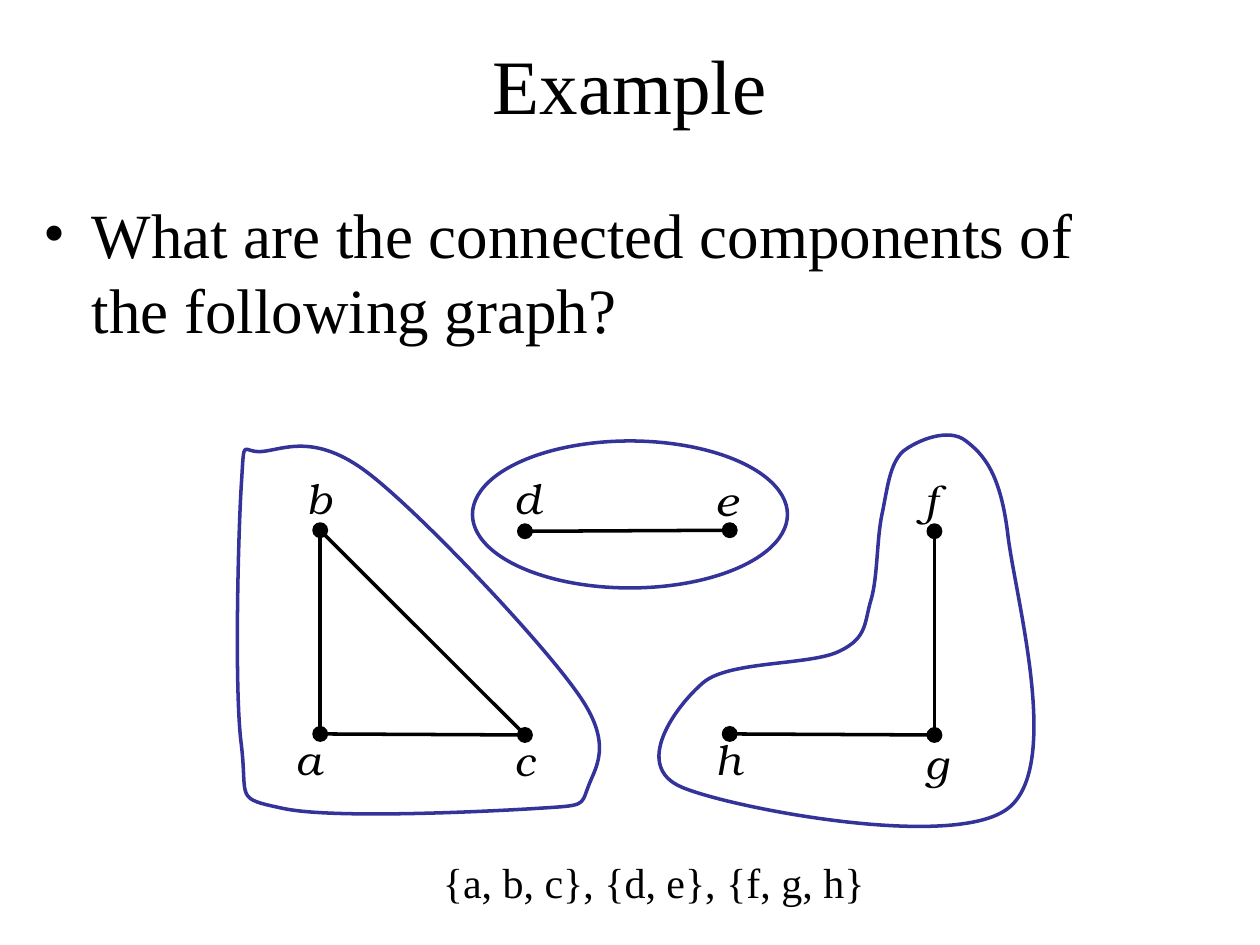
from dataclasses import dataclass

from lxml.etree import SubElement
from pptx import Presentation
from pptx.dml.color import RGBColor as Rgb
from pptx.enum.shapes import MSO_CONNECTOR as Link, MSO_SHAPE as Preset
from pptx.enum.text import MSO_ANCHOR as Anchor, PP_ALIGN as Align
from pptx.oxml.ns import qn
from pptx.util import Inches, Pt


@dataclass(frozen=True)
class Theme:
    ink: Rgb = Rgb(0x00, 0x00, 0x00)
    outline: Rgb = Rgb(0x33, 0x33, 0x99)
    serif: str = "Times New Roman"
    math: str = "TeX Gyre Bonum"
    title: int = 44
    body: int = 36
    small: int = 24
    stroke: int = 2
    hairline: int = 1


COLUMNS, ROWS = 120, 90
LEFT, TOP, STEP, RISE, DROP, DOT = 30.5, 50.5, 19.5, 19.4, 0.1, 1.35

NODES = {
    "a": (0, 1, 28.1, 69.9), "b": (0, 0, 29.2, 45), "c": (1, 1, 49, 70),
    "d": (1, 0, 49, 45), "e": (2, 0, 68.1, 45.2), "f": (3, 0, 88, 45.2),
    "g": (3, 1, 88.1, 70.2), "h": (2, 1, 68.1, 69.9),
}
EDGES = ("ab", "ac", "bc", "de", "fg", "gh")

ABC_REGION = (23, 46), [
    ((22.7, 50.6), (22.3, 65.9), (23, 71)),
    ((23.6, 76.2), (22.3, 76), (27, 77)),
    ((31.7, 78), (46.2, 77.3), (51, 77)),
    ((55.8, 76.7), (55.3, 76.8), (56, 75)),
    ((56.6, 73.2), (58.6, 71), (55, 66)),
    ((51.5, 61), (40, 48.8), (35, 45)),
    ((30, 41.2), (27, 42.8), (25, 43)),
    ((23, 43.2), (23.3, 41.3), (23, 46)),
]
FGH_REGION = (80, 62), [
    ((82.7, 60.7), (82.3, 59.2), (83, 57)),
    ((83.6, 54.8), (83.5, 51.4), (84, 49)),
    ((84.5, 46.7), (84.7, 44.2), (86, 43)),
    ((87.4, 41.9), (90.4, 40.7), (92, 42)),
    ((93.7, 43.3), (95.3, 45.1), (96, 51)),
    ((96.7, 56.9), (101.2, 73), (96, 77)),
    ((90.8, 81), (69.8, 77), (65, 75)),
    ((60.1, 73), (64.4, 67.2), (67, 65)),
    ((69.5, 62.9), (77.3, 63.4), (80, 62)),
]


def assign(target, values):
    for name, value in values.items():
        setattr(target, name, value)


def bend(outline):
    lines = iter(list(outline._element.iter(qn("a:lnTo"))))
    for triple in zip(lines, lines, lines):
        trace = triple[0].getparent()
        curve = trace.makeelement(qn("a:cubicBezTo"))
        triple[0].addprevious(curve)
        for line in triple:
            curve.append(line[0])
            trace.remove(line)


class GraphSlide:
    """Draws the parts of a graph on one slide, placed by grid columns and rows."""

    def __init__(self, deck, theme):
        self.theme = theme
        self.column = deck.slide_width / COLUMNS
        self.row = deck.slide_height / ROWS
        self.shapes = deck.slides.add_slide(deck.slide_layouts[6]).shapes

    def place(self, x, y):
        return round(x * self.column), round(y * self.row)

    def text(self, words, box, size, inset=(0.1, 0.05), anchor=Anchor.TOP,
             align=Align.LEFT, indent=0, bullet=None, font=None, italic=False):
        frame = self.shapes.add_textbox(*self.place(*box[:2]), *self.place(*box[2:])).text_frame
        across, down = map(Inches, inset)
        assign(frame, {"word_wrap": True, "vertical_anchor": anchor,
                       "margin_left": across, "margin_right": across,
                       "margin_top": down, "margin_bottom": down})
        paragraph = frame.paragraphs[0]
        layout = paragraph._p.get_or_add_pPr()
        layout.set("marL", str(Inches(indent)))
        if bullet:
            layout.set("indent", str(-Inches(indent)))
            SubElement(layout, qn("a:buFont")).set("typeface", self.theme.serif)
            SubElement(layout, qn("a:buChar")).set("char", bullet)
        assign(paragraph, {"alignment": align, "space_before": Pt(0)})
        run = paragraph.add_run()
        run.text = words
        assign(run.font, {"name": font or self.theme.serif, "size": Pt(size), "italic": italic})
        run.font.color.rgb = self.theme.ink

    def finish(self, shape, color, width, filled=False):
        shape.shadow.inherit = False
        if filled:
            shape.fill.solid()
            shape.fill.fore_color.rgb = color
        else:
            shape.fill.background()
        shape.line.color.rgb = color
        shape.line.width = Pt(width)

    def region(self, start, curves):
        pen = self.shapes.build_freeform(*self.place(*start))
        pen.add_line_segments([self.place(*point) for curve in curves for point in curve])
        outline = pen.convert_to_shape()
        bend(outline)
        self.finish(outline, self.theme.outline, self.theme.stroke)

    def oval(self, x, y, width, height):
        ring = self.shapes.add_shape(Preset.OVAL, *self.place(x, y), *self.place(width, height))
        self.finish(ring, self.theme.outline, self.theme.stroke)

    def node(self, x, y):
        dot = self.shapes.add_shape(
            Preset.OVAL, *self.place(x - DOT / 2, y - DOT / 2), *self.place(DOT, DOT))
        self.finish(dot, self.theme.ink, self.theme.hairline, filled=True)

    def edge(self, start, end):
        link = self.shapes.add_connector(Link.STRAIGHT, *self.place(*start), *self.place(*end))
        link.line.color.rgb = self.theme.ink
        link.line.width = Pt(self.theme.stroke)
        SubElement(link._element.spPr, qn("a:effectLst"))


def main():
    deck = Presentation()
    assign(deck, {"slide_width": Inches(10), "slide_height": Inches(7.5)})
    theme = Theme()
    slide = GraphSlide(deck, theme)

    slide.text("Example", (6, 2, 108, 12), theme.title, anchor=Anchor.MIDDLE, align=Align.CENTER)
    slide.text("What are the connected components of the following graph?",
               (3, 18, 108, 17.6), theme.body, indent=0.38, bullet="•")

    slide.region(*FGH_REGION)
    slide.region(*ABC_REGION)

    centers = {name: (LEFT + STEP * column, TOP + RISE * row + DROP * (column % 2))
               for name, (column, row, _, _) in NODES.items()}
    for start, end in EDGES:
        slide.edge(centers[start], centers[end])
    for name, (_, _, x, y) in NODES.items():
        slide.node(*centers[name])
        slide.text(name, (x, y, 3.8, 4.8), theme.small, inset=(0, 0), font=theme.math, italic=True)

    slide.oval(45, 42, 30, 14)
    slide.text("{a, b, c}, {d, e}, {f, g, h}", (5, 81, 104, 6), theme.small, indent=3)
    deck.save("out.pptx")


if __name__ == "__main__":
    main()
